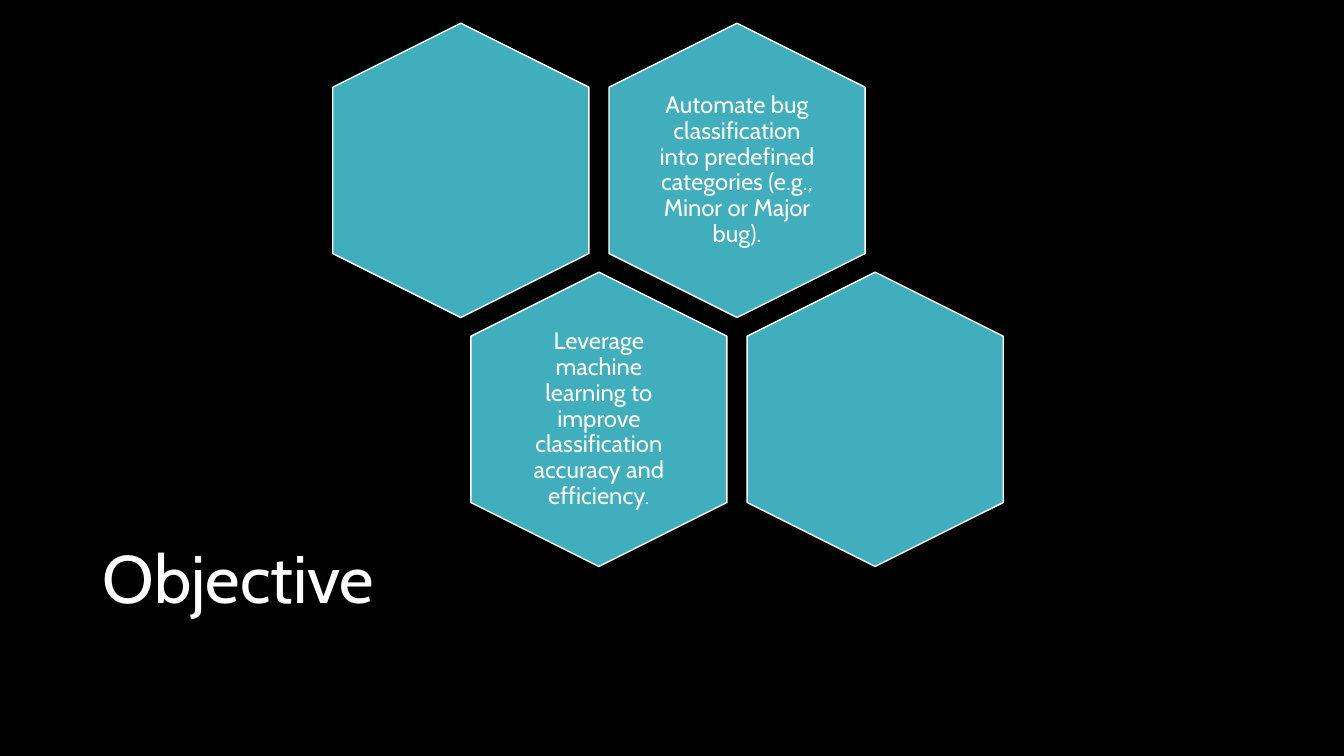
from pptx import Presentation
from pptx.dml.color import RGBColor
from pptx.enum.shapes import MSO_SHAPE as Shape
from pptx.enum.text import MSO_ANCHOR as Anchor, PP_ALIGN as Align
from pptx.util import Inches, Pt

BLACK = RGBColor(0x00, 0x00, 0x00)
WHITE = RGBColor(0xFF, 0xFF, 0xFF)
TEAL = RGBColor(0x41, 0xAE, 0xBD)
FONT = "Cabin"

TITLE = "Objective"
ROWS = [
    ["", "Automate bug classification into predefined categories "
         "(e.g., Minor or Major bug)."],
    ["Leverage machine learning to improve classification accuracy "
     "and efficiency.", ""],
]

LEFT, TOP = 3.11, 0.42
HEX_W, HEX_H = 2.92, 2.54
STEP_X, STEP_Y = 2.74, 2.47
TEXT_W, TEXT_H = 1.75, 2.01


def write(frame, text, size, align):
    frame.text = text
    frame.word_wrap = True
    par = frame.paragraphs[0]
    par.alignment = align
    par.line_spacing = 0.9
    font = par.runs[0].font
    font.name, font.size = FONT, Pt(size)
    font.color.rgb = WHITE


def add_hex(shapes, x, y):
    cell = shapes.add_shape(Shape.HEXAGON, Inches(x), Inches(y),
                            Inches(HEX_W), Inches(HEX_H))
    cell.rotation = 90
    cell.adjustments[0] = 0.25
    cell.shadow.inherit = False
    cell.fill.solid()
    cell.fill.fore_color.rgb = TEAL
    cell.line.color.rgb = WHITE
    cell.line.width = Pt(1)


def add_label(shapes, x, y, text):
    """Centre a text box on the hexagon whose frame starts at x, y."""
    box = shapes.add_textbox(Inches(x + (HEX_W - TEXT_W) / 2),
                             Inches(y + (HEX_H - TEXT_H) / 2),
                             Inches(TEXT_W), Inches(TEXT_H))
    frame = box.text_frame
    write(frame, text, 17, Align.CENTER)
    frame.vertical_anchor = Anchor.MIDDLE
    frame.paragraphs[0].space_after = Pt(6)
    for side in ("left", "top", "right", "bottom"):
        setattr(frame, "margin_" + side, Inches(0.07))


def main():
    deck = Presentation()
    deck.slide_width, deck.slide_height = Inches(13.33), Inches(7.5)
    slide = deck.slides.add_slide(deck.slide_layouts[5])
    slide.background.fill.solid()
    slide.background.fill.fore_color.rgb = BLACK

    title = slide.shapes.title
    title.left, title.top = Inches(0.92), Inches(5.36)
    title.width, title.height = Inches(11.5), Inches(1.4)
    write(title.text_frame, TITLE, 48, Align.LEFT)
    title.text_frame.vertical_anchor = Anchor.TOP

    comb = slide.shapes.add_group_shape().shapes
    for row, texts in enumerate(ROWS):
        for col, text in enumerate(texts):
            x = LEFT + STEP_X * (col + row / 2)
            y = TOP + STEP_Y * row
            add_hex(comb, x, y)
            if text:
                add_label(comb, x, y, text)

    deck.save("out.pptx")


if __name__ == "__main__":
    main()
